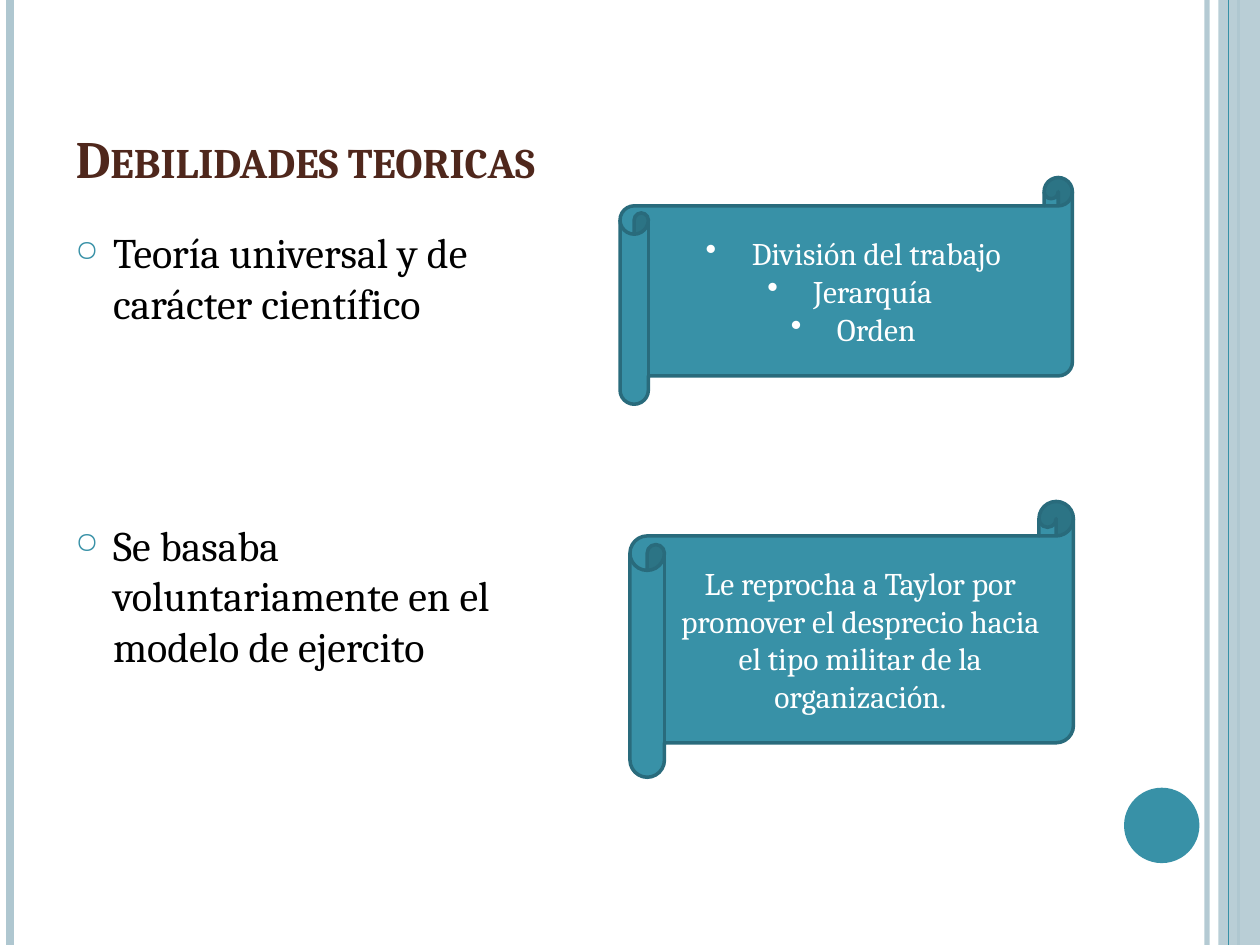
from lxml.etree import SubElement
from pptx import Presentation
from pptx.dml.color import RGBColor
from pptx.enum.shapes import MSO_CONNECTOR, MSO_SHAPE as Shape
from pptx.enum.text import MSO_ANCHOR as Anchor, MSO_AUTO_SIZE as AutoSize, PP_ALIGN as Align
from pptx.oxml.ns import qn
from pptx.util import Cm, Pt


def color(value):
    return RGBColor.from_string(value)


def assign(target, values):
    for name, value in values.items():
        setattr(target, name, value)


class WeaknessSlide:
    """Holds the style and the current slide, and adds its elements."""

    font = "Cambria"
    teal, dark_teal, pale, brown = "3891A7", "296B7C", "AFC7D0", "4F271C"

    def __init__(self, deck):
        self.page = deck.slides.add_slide(deck.slide_layouts[5])

    def place(self, shape, left, top, width, height):
        assign(shape, dict(left=Cm(left), top=Cm(top), width=Cm(width), height=Cm(height)))

    def fade(self, fill, opacity):
        tint = next(fill.iter(qn("a:srgbClr")))
        SubElement(tint, qn("a:alpha"), val=str(opacity * 1000))

    def rule(self, left, width, tone, opacity=100):
        line = self.page.shapes.add_connector(
            MSO_CONNECTOR.STRAIGHT, Cm(left), Cm(0), Cm(left), Cm(19.05))
        line.line.color.rgb = color(tone)
        line.line.width = Pt(width)
        properties = line._element.spPr
        if opacity < 100:
            self.fade(properties, opacity)
        SubElement(properties, qn("a:effectLst"))

    def shape(self, kind, place, fill, outline=None, opacity=100):
        shape = self.page.shapes.add_shape(kind, *map(Cm, place))
        shape.shadow.inherit = False
        shape.fill.solid()
        shape.fill.fore_color.rgb = color(fill)
        if opacity < 100:
            self.fade(shape._element.spPr, opacity)
        if outline:
            shape.line.color.rgb = color(outline)
            shape.line.width = Pt(2)
        else:
            shape.line.fill.background()
        return shape

    def bullet(self, para, mark, indent, tone=None, size=None):
        properties = para._p.get_or_add_pPr()
        properties.set("marL", str(Cm(indent)))
        properties.set("indent", str(-Cm(indent)))
        if tone:
            SubElement(SubElement(properties, qn("a:buClr")), qn("a:srgbClr"), val=tone)
        if size:
            SubElement(properties, qn("a:buSzPct"), val=str(size * 1000))
        SubElement(properties, qn("a:buChar"), char=mark)

    def add_span(self, para, text, size, tone, **extra):
        span = para.add_run()
        span.text = text
        assign(span.font, dict(name=self.font, size=Pt(size), **extra))
        span.font.color.rgb = color(tone)
        return span

    def title(self, text, place):
        box = self.page.shapes.title
        self.place(box, *place)
        frame = box.text_frame
        assign(frame, dict(vertical_anchor=Anchor.BOTTOM, word_wrap=True, auto_size=AutoSize.NONE))
        para = frame.paragraphs[0]
        para.alignment = Align.LEFT
        span = self.add_span(para, text, 30, self.brown, bold=True)
        span._r.get_or_add_rPr().set("cap", "small")

    def paragraphs(self, frame, texts):
        for index, text in enumerate(texts):
            yield (frame.add_paragraph() if index else frame.paragraphs[0]), text

    def body(self, texts, place, gap):
        frame = self.page.shapes.add_textbox(*map(Cm, place)).text_frame
        frame.word_wrap = True
        for index, (para, text) in enumerate(self.paragraphs(frame, texts)):
            para.space_before = Pt(gap if index else 0)
            self.bullet(para, "○", 0.76, self.teal, 70)
            self.add_span(para, text, 24, "000000")

    def scroll(self, texts, place, mark=None):
        shape = self.shape(Shape.HORIZONTAL_SCROLL, place, self.teal, self.dark_teal)
        frame = shape.text_frame
        assign(frame, dict(vertical_anchor=Anchor.MIDDLE, word_wrap=True))
        for para, text in self.paragraphs(frame, texts):
            para.alignment = Align.CENTER
            if mark:
                self.bullet(para, mark, 0.79)
            self.add_span(para, text, 18, "FFFFFF")


def main():
    deck = Presentation()
    assign(deck, dict(slide_width=Cm(25.4), slide_height=Cm(19.05)))
    slide = WeaknessSlide(deck)
    slide.rule(24.33, 3, slide.pale, 93)
    slide.rule(0.2, 4.5, slide.pale)
    slide.rule(24.97, 1.5, slide.pale)
    slide.shape(Shape.RECTANGLE, (24.56, 0, 0.84, 19.05), slide.pale, opacity=87)
    slide.rule(24.77, 0.75, slide.teal)
    slide.shape(Shape.OVAL, (22.66, 15.88, 1.52, 1.52), slide.teal)
    slide.title("Debilidades teoricas", (1.27, 0.76, 20.75, 3.18))
    slide.body(["Teoría universal y de carácter científico",
                "Se basaba voluntariamente en el modelo de ejercito"],
               (1.27, 4.45, 10.16, 12.7), gap=109.5)
    slide.scroll([" División del trabajo", " Jerarquía ", " Orden"],
                 (12.5, 3.58, 9.12, 4.57), mark="•")
    slide.scroll(["Le reprocha a Taylor por promover el desprecio hacia "
                  "el tipo militar de la organización."], (12.7, 10.11, 8.94, 5.56))
    deck.save("out.pptx")


if __name__ == "__main__":
    main()
